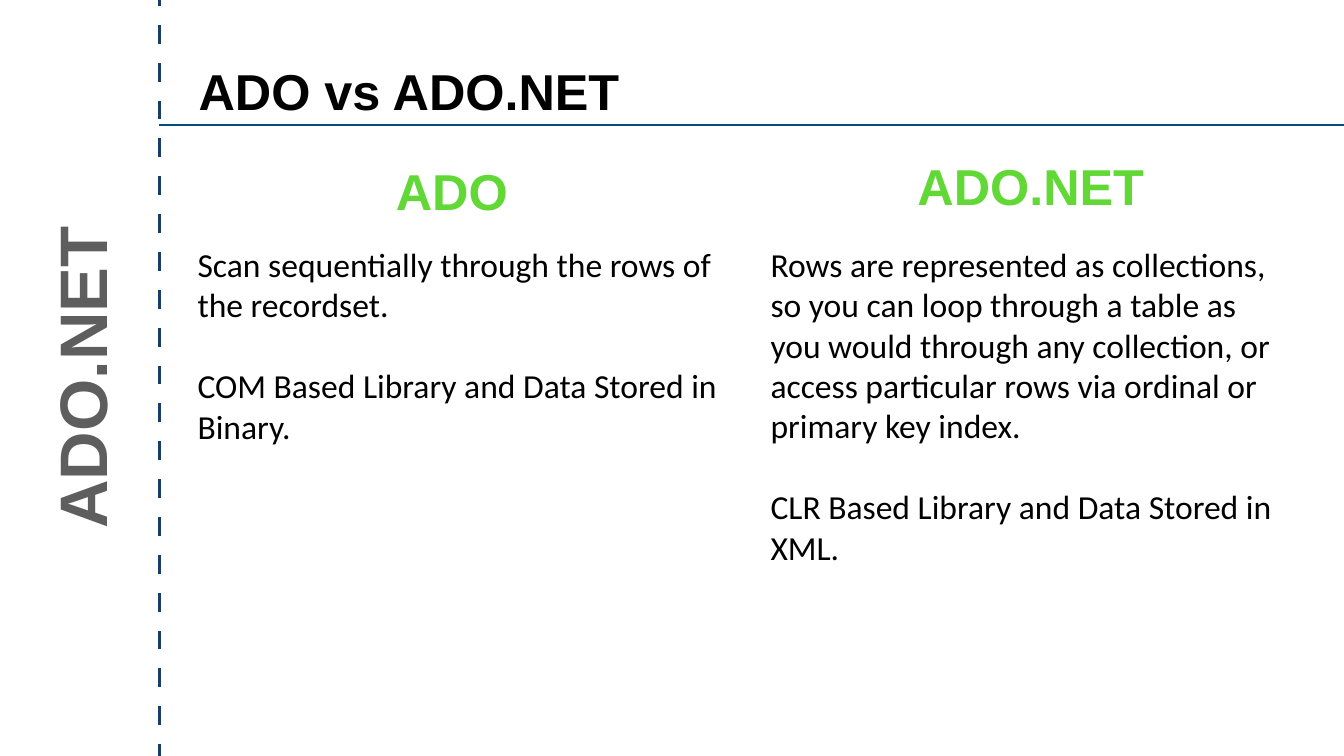
from dataclasses import dataclass

import lxml.etree
import pptx
import pptx.dml.color
import pptx.enum.shapes
import pptx.enum.text
import pptx.oxml.ns
import pptx.util
from pptx.util import Inches

ALIGN = pptx.enum.text.PP_ALIGN
ANCHOR = pptx.enum.text.MSO_ANCHOR
COMPARISON_LAYOUT = 4
BODY_SIZE = 48
BODY_GAP = 58


@dataclass
class Box:
    left: float
    top: float
    width: float
    height: float


@dataclass
class Column:
    heading_index: int
    heading: str
    heading_box: Box
    body_index: int
    body: list[str]
    body_box: Box


COLUMNS = [
    Column(
        1, "ADO", Box(7.74, 3.13, 2.45, 1.31),
        2, ["Scan sequentially through the rows of the recordset.",
            "COM Based Library and Data Stored in Binary."],
        Box(3.84, 4.76, 10.48, 4.2),
    ),
    Column(
        3, "ADO.NET", Box(18.08, 3.03, 4.75, 1.31),
        4, ["Rows are represented as collections, so you can loop through a table as "
            "you would through any collection, or access particular rows via ordinal "
            "or primary key index.",
            "CLR Based Library and Data Stored in XML."],
        Box(15.21, 4.76, 10.48, 6.62),
    ),
]


def rgb(color: str) -> pptx.dml.color.RGBColor:
    return pptx.dml.color.RGBColor.from_string(color)


def place(shape, box: Box) -> None:
    shape.left, shape.top = Inches(box.left), Inches(box.top)
    shape.width, shape.height = Inches(box.width), Inches(box.height)


def format_paragraph(paragraph, font: str, size: int, color: str, bold: bool, align) -> None:
    paragraph.alignment = align
    paragraph.space_before = pptx.util.Pt(0)
    paragraph.font.name = font
    paragraph.font.size = pptx.util.Pt(size)
    paragraph.font.bold = bold
    paragraph.font.color.rgb = rgb(color)


def remove_bullet(paragraph) -> None:
    properties = paragraph._p.get_or_add_pPr()
    properties.set("marL", "0")
    properties.set("indent", "0")
    lxml.etree.SubElement(properties, pptx.oxml.ns.qn("a:buNone"))
    # The bullet setting must come before the default run properties
    properties.append(properties.find(pptx.oxml.ns.qn("a:defRPr")))


def write_heading(shape, text: str, box: Box, size: int, color: str, align, anchor=ANCHOR.TOP) -> None:
    place(shape, box)
    frame = shape.text_frame
    frame.text = text
    frame.word_wrap = False
    frame.auto_size = pptx.enum.text.MSO_AUTO_SIZE.NONE
    frame.vertical_anchor = anchor
    format_paragraph(frame.paragraphs[0], "Arial", size, color, True, align)


def write_body(shape, texts: list[str], box: Box) -> None:
    place(shape, box)
    frame = shape.text_frame
    frame.text = "\n".join(texts)
    frame.word_wrap = True
    frame.auto_size = pptx.enum.text.MSO_AUTO_SIZE.NONE
    frame.vertical_anchor = ANCHOR.TOP
    frame.margin_left = frame.margin_right = Inches(0.08)
    frame.margin_top = frame.margin_bottom = Inches(0.08)
    for paragraph in frame.paragraphs:
        format_paragraph(paragraph, "Calibri", BODY_SIZE, "000000", False, ALIGN.LEFT)
        remove_bullet(paragraph)
    for paragraph in frame.paragraphs[1:]:
        paragraph.space_before = pptx.util.Pt(BODY_GAP)


def add_rule(slide, start: tuple[float, float], end: tuple[float, float],
             color: str, width: float, dashed: bool = False) -> None:
    connector = slide.shapes.add_connector(
        pptx.enum.shapes.MSO_CONNECTOR.STRAIGHT, *map(Inches, start + end))
    connector.line.color.rgb = rgb(color)
    connector.line.width = pptx.util.Pt(width)
    if dashed:
        # Dashes and gaps are each six line widths long
        dashes = lxml.etree.SubElement(connector.line._get_or_add_ln(), pptx.oxml.ns.qn("a:custDash"))
        lxml.etree.SubElement(dashes, pptx.oxml.ns.qn("a:ds"), d="600000", sp="600000")
    lxml.etree.SubElement(connector._element.spPr, pptx.oxml.ns.qn("a:effectLst"))


def main() -> None:
    presentation = pptx.Presentation()
    presentation.slide_width = Inches(26.67)
    presentation.slide_height = Inches(15)
    slide = presentation.slides.add_slide(presentation.slide_layouts[COMPARISON_LAYOUT])

    # Dividing lines
    add_rule(slide, (3.16, 15.14), (3.16, -0.14), "183E67", 4.5, dashed=True)
    add_rule(slide, (3.16, 2.48), (26.67, 2.48), "004D80", 2)

    # Sideways section name
    section = slide.shapes.add_textbox(0, 0, 0, 0)
    write_heading(section, "ADO.NET", Box(-1.52, 6.61, 6.22, 1.77), 96, "5E5E5E",
                  ALIGN.CENTER, ANCHOR.MIDDLE)
    section.rotation = 270

    # Title
    write_heading(slide.shapes.title, "ADO vs ADO.NET", Box(3.84, 1.14, 8.67, 1.31),
                  72, "000000", ALIGN.LEFT)

    # Compared columns
    placeholders = {shape.placeholder_format.idx: shape for shape in slide.placeholders}
    for column in COLUMNS:
        write_heading(placeholders[column.heading_index], column.heading, column.heading_box,
                      72, "61D836", ALIGN.CENTER)
        write_body(placeholders[column.body_index], column.body, column.body_box)
        remove_bullet(placeholders[column.heading_index].text_frame.paragraphs[0])

    presentation.save("out.pptx")


if __name__ == "__main__":
    main()
